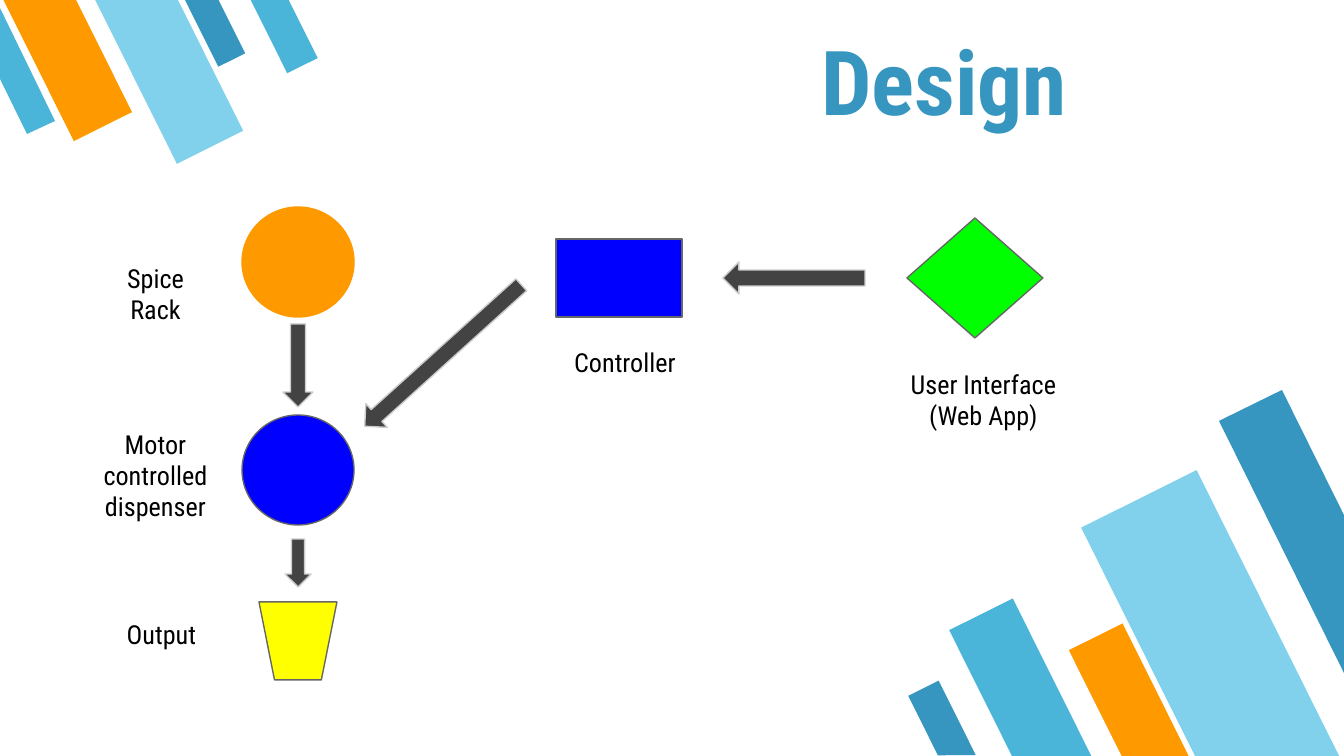
from pptx import Presentation
from pptx.dml.color import RGBColor
from pptx.enum.shapes import MSO_SHAPE
from pptx.enum.text import MSO_ANCHOR, MSO_AUTO_SIZE, PP_ALIGN
from pptx.util import Pt

EMU_PER_PX = 914400 / 134.4
COLORS = {
    "deep": "3796BF", "mid": "4BB5D9", "pale": "81D1EC", "orange": "FF9900",
    "blue": "0000FF", "yellow": "FFFF00", "green": "00FF00",
    "outline": "666666", "arrow": "434343", "arrow_edge": "CCCCCC", "black": "000000",
}
INSETS = {f"margin_{side}": 13 for side in ("left", "top", "right", "bottom")}
TITLE_FONT = {"name": "Roboto Condensed", "size": Pt(48), "bold": True}
LABEL_FONT = {"name": "Roboto Condensed", "size": Pt(14), "bold": False}

LOWER_RIGHT_BARS = [
    ((985, 605, 71, 177), "mid"),
    ((1146, 482, 129, 321), "pale"),
    ((1099, 629, 60, 149), "orange"),
    ((925, 684, 34, 83), "deep"),
]
UPPER_LEFT_BARS = [
    ((200, -11, 30, 75), "deep"),
    ((35, -24, 65, 159), "orange"),
    ((132, -27, 74, 184), "pale"),
    ((267, -13, 34, 83), "mid"),
]
EDGE_BARS = [
    ([(1282, 390), (1219, 421), (1344, 673), (1344, 515)], "deep"),
    ([(27, 134), (55, 121), (0, 8), (0, 79)], "mid"),
]
NODES = [
    (MSO_SHAPE.OVAL, (242, 207, 112, 110), "orange", "orange"),
    (MSO_SHAPE.OVAL, (242, 415, 112, 110), "blue", "outline"),
    (MSO_SHAPE.FLOWCHART_MANUAL_OPERATION, (259, 602, 78, 78), "yellow", "outline"),
    (MSO_SHAPE.RECTANGLE, (556, 239, 126, 78), "blue", "outline"),
    (MSO_SHAPE.DIAMOND, (907, 218, 136, 120), "green", "outline"),
]
ARROWS = [
    ((427, 250, 32, 211), 227.9),
    ((778, 207, 32, 142), 270),
    ((283, 324, 30, 83), 180),
    ((285, 539, 26, 48), 180),
]
LABELS = [
    ((105, 249, 101, 46), ["Spice Rack"]),
    ((73, 415, 165, 46), ["Motor controlled dispenser"]),
    ((105, 605, 113, 46), ["Output"]),
    ((554, 333, 142, 32), ["Controller"]),
    ((866, 355, 235, 46), ["User Interface", "(Web App)"]),
]


def px(length):
    return round(length * EMU_PER_PX)


def emu(box):
    return [px(length) for length in box]


def rgb(color):
    return RGBColor.from_string(COLORS[color])


def apply(target, values):
    for name, value in values.items():
        setattr(target, name, value)


def paint(shape, fill, edge=None):
    shape.shadow.inherit = False
    shape.fill.solid()
    shape.fill.fore_color.rgb = rgb(fill)
    if edge:
        shape.line.color.rgb = rgb(edge)
        shape.line.width = Pt(0.75)
    else:
        shape.line.fill.background()


def add_bar(slide, box, color, rotation):
    """Add a mirrored, slanted stripe of the corner decoration."""
    bar = slide.shapes.add_shape(MSO_SHAPE.FLOWCHART_MANUAL_INPUT, *emu(box))
    bar.rotation = rotation
    bar._element.spPr.get_or_add_xfrm().set("flipH", "1")
    paint(bar, color)


def add_edge_bar(slide, corners, color):
    """Add a stripe that is cut off by the slide edge."""
    builder = slide.shapes.build_freeform(*corners[0], scale=EMU_PER_PX)
    builder.add_line_segments(corners[1:], close=True)
    paint(builder.convert_to_shape(), color)


def add_node(slide, kind, box, fill, edge):
    paint(slide.shapes.add_shape(kind, *emu(box)), fill, edge)


def add_arrow(slide, box, rotation):
    arrow = slide.shapes.add_shape(MSO_SHAPE.UP_ARROW, *emu(box))
    arrow.rotation = rotation
    arrow.adjustments[0] = arrow.adjustments[1] = 0.5
    paint(arrow, "arrow", "arrow_edge")


def write(frame, lines, font, color, alignment, anchor):
    apply(frame, {name: px(inset) for name, inset in INSETS.items()})
    apply(frame, {"word_wrap": True, "auto_size": MSO_AUTO_SIZE.NONE,
                  "vertical_anchor": anchor})
    frame.text = "\n".join(lines)
    for paragraph in frame.paragraphs:
        paragraph.alignment = alignment
        for run in paragraph.runs:
            apply(run.font, font)
            run.font.color.rgb = rgb(color)


def add_title(slide, box, text):
    title = slide.shapes.title
    apply(title, dict(zip(("left", "top", "width", "height"), emu(box))))
    write(title.text_frame, [text], TITLE_FONT, "deep", PP_ALIGN.LEFT, MSO_ANCHOR.BOTTOM)


def add_label(slide, box, lines):
    label = slide.shapes.add_textbox(*emu(box))
    write(label.text_frame, lines, LABEL_FONT, "black", PP_ALIGN.CENTER, MSO_ANCHOR.TOP)


def main():
    deck = Presentation()
    deck.slide_width, deck.slide_height = px(1344), px(756)
    slide = deck.slides.add_slide(deck.slide_layouts[5])

    for bars, rotation in ((LOWER_RIGHT_BARS, 153.5), (UPPER_LEFT_BARS, 333.5)):
        for box, color in bars:
            add_bar(slide, box, color, rotation)
    for corners, color in EDGE_BARS:
        add_edge_bar(slide, corners, color)

    add_title(slide, (808, 52, 320, 95), "Design")
    for node in NODES:
        add_node(slide, *node)
    for box, rotation in ARROWS:
        add_arrow(slide, box, rotation)
    for box, lines in LABELS:
        add_label(slide, box, lines)

    deck.save("out.pptx")


if __name__ == "__main__":
    main()
